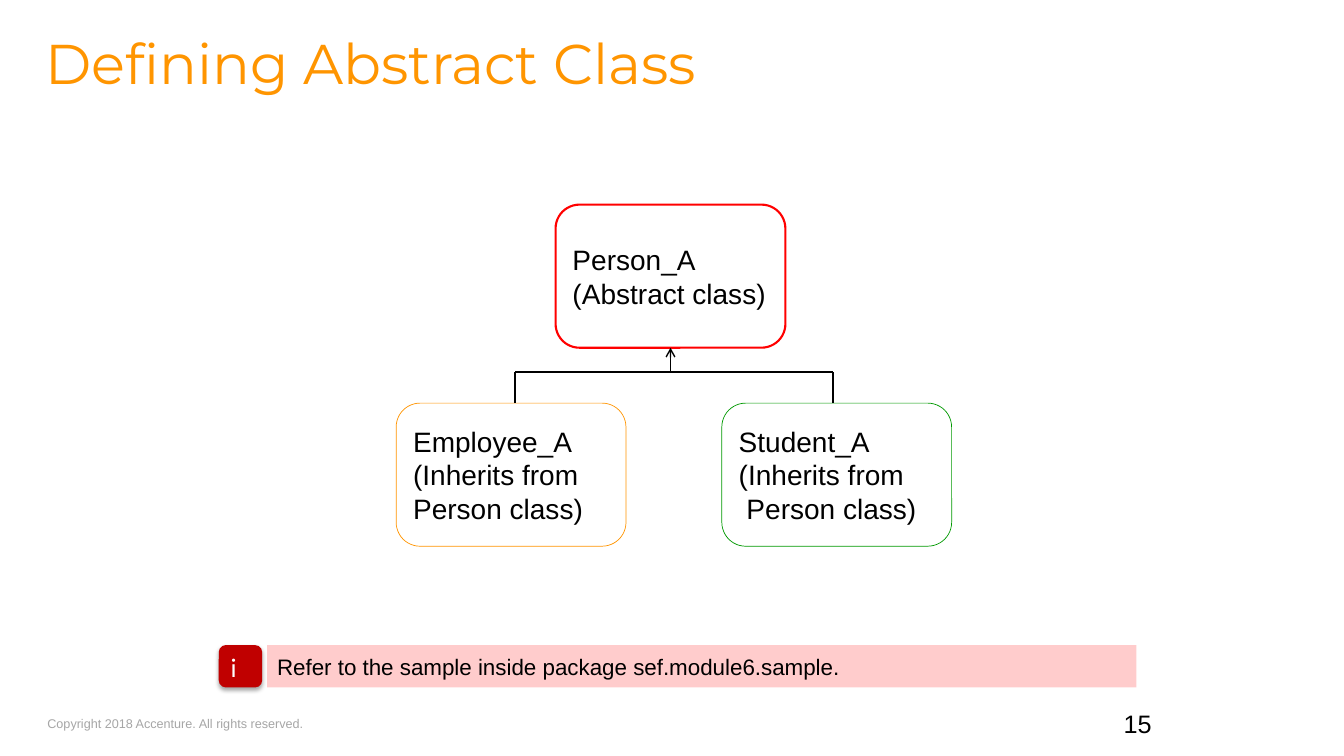
import dataclasses
from typing import Any

import pptx
import pptx.dml.color
import pptx.enum.shapes
import pptx.enum.text
import pptx.oxml
import pptx.oxml.ns
import pptx.util

COLOURS = {
    "white": "FFFFFF", "black": "000000", "grey": "A6A6A6",
    "orange": "FF9500", "red": "FF0000", "green": "009900",
    "pink": "FFCCCC", "crimson": "C00000",
}
WIDTH, HEIGHT = pptx.util.Inches(13.33), pptx.util.Inches(7.5)
SHAPE = pptx.enum.shapes.MSO_SHAPE
ANCHOR = pptx.enum.text.MSO_ANCHOR
ALIGN = pptx.enum.text.PP_ALIGN

# Layout in percent of the slide's width and height
CLASS_WIDTH, CLASS_HEIGHT = 17.1, 18.93
PERSON_LEFT, PERSON_TOP = 41.34, 27.07
CHILD_TOP = 53.33
BUS_TOP, BUS_LEFT, BUS_RIGHT = 49.2, 38.33, 61.97
TRUNK = PERSON_LEFT + CLASS_WIDTH / 2
NOTE_TOP, NOTE_HEIGHT = 85.33, 5.6


@dataclasses.dataclass(frozen=True)
class Area:
    left: float
    top: float
    width: float
    height: float

    def lengths(self) -> tuple[int, int, int, int]:
        return (across(self.left), down(self.top),
                across(self.width), down(self.height))


@dataclasses.dataclass(frozen=True)
class Style:
    size: float
    font: str = "Arial"
    colour: str = "black"
    indent: float = 0
    para: dict[str, Any] = dataclasses.field(default_factory=dict)
    frame: dict[str, Any] = dataclasses.field(default_factory=dict)


@dataclasses.dataclass(frozen=True)
class ClassBox:
    left: float
    top: float
    outline: str
    weight: float
    lines: tuple[str, ...]


@dataclasses.dataclass(frozen=True)
class Link:
    start: tuple[float, float]
    end: tuple[float, float]


CLASS_STYLE = Style(20, indent=0.38,
                    frame={"word_wrap": False, "vertical_anchor": ANCHOR.MIDDLE})
NOTE_STYLE = Style(16, frame={"vertical_anchor": ANCHOR.MIDDLE})
ICON_STYLE = Style(18, "Lato", "white", 0.19, frame={"vertical_anchor": ANCHOR.TOP})
NUMBER_STYLE = Style(18, para={"alignment": ALIGN.RIGHT},
                     frame={"vertical_anchor": ANCHOR.BOTTOM})
TITLE_STYLE = Style(40, "Montserrat", "orange", para={"line_spacing": 0.8},
                    frame=dict.fromkeys(("margin_left", "margin_right",
                                         "margin_top", "margin_bottom"), 0))
COPYRIGHT_STYLE = Style(9, colour="grey", frame={
    "word_wrap": False, "margin_left": 0, "margin_right": 0})

PERSON = ClassBox(PERSON_LEFT, PERSON_TOP, "red", 1.5,
                  ("Person_A", "(Abstract class)"))
CHILDREN = (
    ClassBox(29.48, CHILD_TOP, "orange", 0.5,
             ("Employee_A", "(Inherits from", "Person class)")),
    ClassBox(53.71, CHILD_TOP, "green", 0.5,
             ("Student_A", "(Inherits from", " Person class)")),
)
BRANCHES = (
    Link((BUS_LEFT, BUS_TOP), (BUS_RIGHT, BUS_TOP)),
    Link((BUS_LEFT, CHILD_TOP), (BUS_LEFT, BUS_TOP)),
    Link((BUS_RIGHT, CHILD_TOP), (BUS_RIGHT, BUS_TOP)),
)
ARROW = Link((TRUNK, BUS_TOP), (TRUNK, PERSON_TOP + CLASS_HEIGHT))


def across(percent: float) -> int:
    return round(WIDTH * percent / 100)


def down(percent: float) -> int:
    return round(HEIGHT * percent / 100)


def rgb(name: str) -> pptx.dml.color.RGBColor:
    return pptx.dml.color.RGBColor.from_string(COLOURS[name])


def apply(target: Any, values: dict[str, Any]) -> None:
    for name, value in values.items():
        setattr(target, name, value)


def add_xml(parent: Any, tag: str, **attributes: str) -> Any:
    child = pptx.oxml.parse_xml(f"<a:{tag} {pptx.oxml.ns.nsdecls('a')}/>")
    for name, value in attributes.items():
        child.set(name, value)
    parent.append(child)
    return child


def write(box: Any, lines: tuple[str, ...], style: Style) -> None:
    frame = box.text_frame
    apply(frame, {"word_wrap": True} | style.frame)
    for index, line in enumerate(lines):
        para = frame.add_paragraph() if index else frame.paragraphs[0]
        apply(para, {"alignment": ALIGN.LEFT} | style.para)
        if style.indent:
            indent = pptx.util.Inches(style.indent)
            apply_indent = para._p.get_or_add_pPr().set
            apply_indent("marL", str(indent))
            apply_indent("indent", str(-indent))
        span = para.add_run()
        span.text = line
        apply(span.font, {"name": style.font, "size": pptx.util.Pt(style.size)})
        span.font.color.rgb = rgb(style.colour)


def add_text(page: Any, area: Area, text: str, style: Style) -> None:
    write(page.shapes.add_textbox(*area.lengths()), (text,), style)


def add_box(page: Any, kind: Any, area: Area, fill: str,
            lines: tuple[str, ...], style: Style) -> Any:
    box = page.shapes.add_shape(kind, *area.lengths())
    box.shadow.inherit = False
    box.fill.solid()
    box.fill.fore_color.rgb = rgb(fill)
    box.line.fill.background()
    write(box, lines, style)
    return box


def add_class(page: Any, item: ClassBox) -> Any:
    area = Area(item.left, item.top, CLASS_WIDTH, CLASS_HEIGHT)
    box = add_box(page, SHAPE.ROUNDED_RECTANGLE, area, "white",
                  item.lines, CLASS_STYLE)
    box.line.color.rgb = rgb(item.outline)
    box.line.width = pptx.util.Pt(item.weight)
    return box


def add_link(page: Any, link: Link) -> Any:
    (left, top), (right, bottom) = link.start, link.end
    line = page.shapes.add_connector(
        pptx.enum.shapes.MSO_CONNECTOR.STRAIGHT,
        across(left), down(top), across(right), down(bottom))
    line.line.color.rgb = rgb("black")
    line.line.width = pptx.util.Pt(1)
    add_xml(line.element.spPr, "effectLst")
    return line


def add_shadow(box: Any) -> None:
    effects = box.element.spPr.find(pptx.oxml.ns.qn("a:effectLst"))
    shadow = add_xml(effects, "outerShdw", blurRad=str(pptx.util.Pt(3.1)),
                     dist=str(pptx.util.Pt(1.8)), dir="5400000", rotWithShape="0")
    colour = add_xml(shadow, "srgbClr", val=COLOURS["black"])
    add_xml(colour, "alpha", val="35000")


def main() -> None:
    deck = pptx.Presentation()
    apply(deck, {"slide_width": WIDTH, "slide_height": HEIGHT})
    page = deck.slides.add_slide(deck.slide_layouts[6])

    # Footer and title
    add_text(page, Area(3.53, 94, 19.28, 3.33),
             "Copyright 2018 Accenture. All rights reserved.", COPYRIGHT_STYLE)
    add_text(page, Area(72.54, 94.4, 13.88, 4), "15", NUMBER_STYLE)
    add_text(page, Area(3.38, 5.47, 62.42, 14.53),
             "Defining Abstract Class", TITLE_STYLE)

    # Class hierarchy
    person = add_class(page, PERSON)
    for child in CHILDREN:
        add_class(page, child)
    for branch in BRANCHES:
        add_link(page, branch)
    arrow = add_link(page, ARROW)
    arrow.end_connect(person, 2)
    add_xml(arrow.line._get_or_add_ln(), "tailEnd", type="arrow")

    # Note with its icon
    add_box(page, SHAPE.RECTANGLE, Area(19.88, NOTE_TOP, 64.67, NOTE_HEIGHT), "pink",
            ("Refer to the sample inside package sef.module6.sample.",), NOTE_STYLE)
    icon = add_box(page, SHAPE.ROUNDED_RECTANGLE,
                   Area(16.28, NOTE_TOP, 3.23, NOTE_HEIGHT), "crimson", ("i",), ICON_STYLE)
    add_shadow(icon)

    deck.save("out.pptx")


if __name__ == "__main__":
    main()
